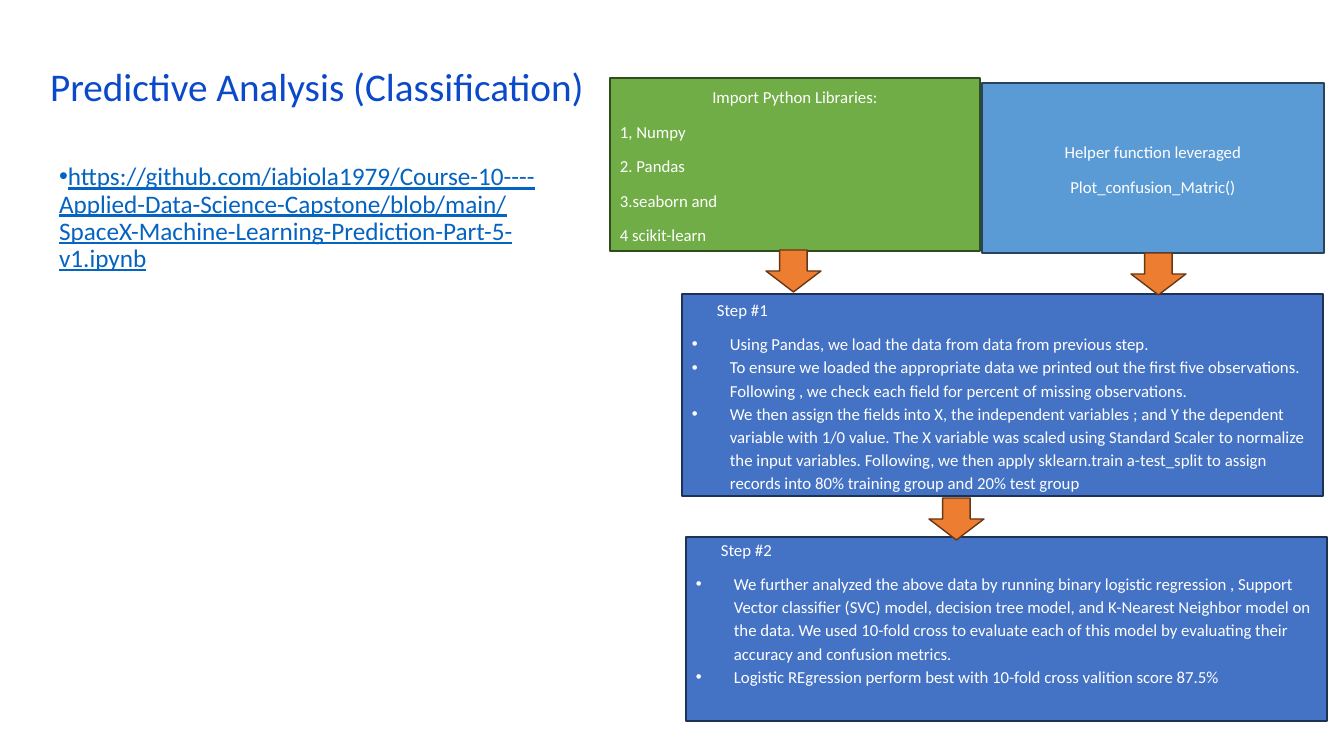
from dataclasses import dataclass

import pptx
import pptx.dml.color
import pptx.enum.shapes
import pptx.enum.text
import pptx.oxml
import pptx.oxml.ns
import pptx.util

SHAPE = pptx.enum.shapes.MSO_SHAPE
ALIGN = pptx.enum.text.PP_ALIGN
ANCHOR = pptx.enum.text.MSO_ANCHOR


@dataclass(frozen=True)
class Theme:
    font: str = "Calibri"
    title_size: int = 28
    link_size: int = 18
    box_size: int = 12
    title: str = "0B49CB"
    link: str = "0563C1"
    box_text: str = "FFFFFF"
    libraries: tuple = ("70AD47", "314C1F")
    helper: tuple = ("5B9BD5", "28445D")
    step: tuple = ("4472C4", "1E3256")
    arrow: tuple = ("ED7D31", "683715")


def px(n):
    return pptx.util.Emu(round(n * 914400 / 100.8))


def rgb(value):
    return pptx.dml.color.RGBColor.from_string(value)


class SlideBuilder:
    def __init__(self, prs, theme):
        self.theme = theme
        self.s = prs.slides.add_slide(prs.slide_layouts[1])

    def place(self, sp, box):
        sp.left, sp.top, sp.width, sp.height = map(px, box)

    def frame(self, sp, anchor):
        tf = sp.text_frame
        tf.word_wrap = True
        tf.auto_size = pptx.enum.text.MSO_AUTO_SIZE.NONE
        tf.vertical_anchor = anchor
        return tf

    def paragraph(self, tf, text, size, color, align=ALIGN.LEFT, spacing=1.15,
                  after=0, left=0, hanging=0, bullet=False, underline=False):
        first = tf.paragraphs[0]
        p = tf.add_paragraph() if first.runs else first
        p.alignment = align
        p.line_spacing = spacing
        p.space_before = pptx.util.Pt(0)
        p.space_after = pptx.util.Pt(after)
        pPr = p._p.get_or_add_pPr()
        pPr.set("marL", str(px(left)))
        pPr.set("indent", str(-px(hanging)))
        if bullet:
            font = pptx.oxml.ns.qn("a:buFont")
            pPr.append(pPr.makeelement(font, {"typeface": "Arial"}))
            char = pptx.oxml.ns.qn("a:buChar")
            pPr.append(pPr.makeelement(char, {"char": "•"}))
        else:
            pPr.append(pPr.makeelement(pptx.oxml.ns.qn("a:buNone"), {}))
        r = p.add_run()
        r.text = text
        r.font.name = self.theme.font
        r.font.size = pptx.util.Pt(size)
        r.font.color.rgb = rgb(color)
        r.font.underline = underline

    def title(self, box, text):
        sp = self.s.shapes.title
        self.place(sp, box)
        tf = self.frame(sp, ANCHOR.MIDDLE)
        self.paragraph(tf, text, self.theme.title_size, self.theme.title, spacing=0.9)

    def link_list(self, box, links):
        sp = self.s.placeholders[1]
        self.place(sp, box)
        tf = self.frame(sp, ANCHOR.TOP)
        for link in links:
            self.paragraph(tf, link, self.theme.link_size, self.theme.link,
                           spacing=0.9, bullet=True, underline=True)

    def shape(self, kind, box, colors):
        sp = self.s.shapes.add_shape(kind, *map(px, box))
        fill, line = colors
        sp.shadow.inherit = False
        sp.fill.solid()
        sp.fill.fore_color.rgb = rgb(fill)
        sp.line.color.rgb = rgb(line)
        sp.line.width = pptx.util.Pt(1)
        return sp

    def box(self, box, colors, lines):
        tf = self.frame(self.shape(SHAPE.RECTANGLE, box, colors), ANCHOR.MIDDLE)
        for text, align in lines:
            self.paragraph(tf, text, self.theme.box_size, self.theme.box_text,
                           align=align, after=8)

    def step(self, box, heading, bullets, bottom=5):
        sp = self.shape(SHAPE.RECTANGLE, box, self.theme.step)
        tf = self.frame(sp, ANCHOR.MIDDLE)
        tf.margin_bottom = px(bottom)
        size, color = self.theme.box_size, self.theme.box_text
        self.paragraph(tf, heading, size, color, after=8, left=50, hanging=25)
        for text in bullets:
            self.paragraph(tf, text, size, color, after=8 if text == bullets[-1] else 0,
                           left=38, hanging=38, bullet=True)

    def arrow(self, left, top):
        self.shape(SHAPE.DOWN_ARROW, (left, top, 55, 42), self.theme.arrow)


def main():
    prs = pptx.Presentation()
    prs.slide_width, prs.slide_height = px(1344), px(756)
    theme = Theme()
    slide = SlideBuilder(prs, theme)

    slide.title((40, 59, 1204, 60), "Predictive Analysis (Classification)")
    slide.link_list((49, 159, 502, 480), [
        "https://github.com/iabiola1979/Course-10----Applied-Data-Science-Capstone"
        "/blob/main/SpaceX-Machine-Learning-Prediction-Part-5-v1.ipynb",
    ])

    slide.box((610, 78, 370, 173), theme.libraries, [
        ("Import Python Libraries:", ALIGN.CENTER),
        ("1, Numpy", ALIGN.LEFT),
        ("2. Pandas", ALIGN.LEFT),
        ("3.seaborn and", ALIGN.LEFT),
        ("4 scikit-learn", ALIGN.LEFT),
    ])
    slide.step((682, 294, 641, 202), "Step #1", [
        "Using Pandas, we load the data from data from previous step.",
        "To ensure we loaded the appropriate data we printed out the first five "
        "observations. Following , we check each field for percent of missing "
        "observations.",
        "We then assign the fields into X, the independent variables ; and Y the "
        "dependent variable with 1/0 value. The X variable was scaled using Standard "
        "Scaler to normalize the input variables. Following, we then apply "
        "sklearn.train a-test_split to assign records into 80% training group and "
        "20% test group",
    ])
    slide.arrow(766, 250)
    slide.step((686, 537, 641, 184), "Step #2", [
        "We further analyzed the above data by running binary logistic regression , "
        "Support Vector classifier (SVC) model, decision tree model, and K-Nearest "
        "Neighbor model on the data. We used 10-fold cross to evaluate each of this "
        "model by evaluating their accuracy and confusion metrics.",
        "Logistic REgression perform best with 10-fold cross valition score 87.5%",
    ], bottom=40)
    slide.arrow(929, 498)
    slide.box((982, 83, 342, 170), theme.helper, [
        ("Helper function leveraged", ALIGN.CENTER),
        ("Plot_confusion_Matric()", ALIGN.CENTER),
    ])
    slide.arrow(1131, 253)

    prs.save("out.pptx")


if __name__ == "__main__":
    main()
